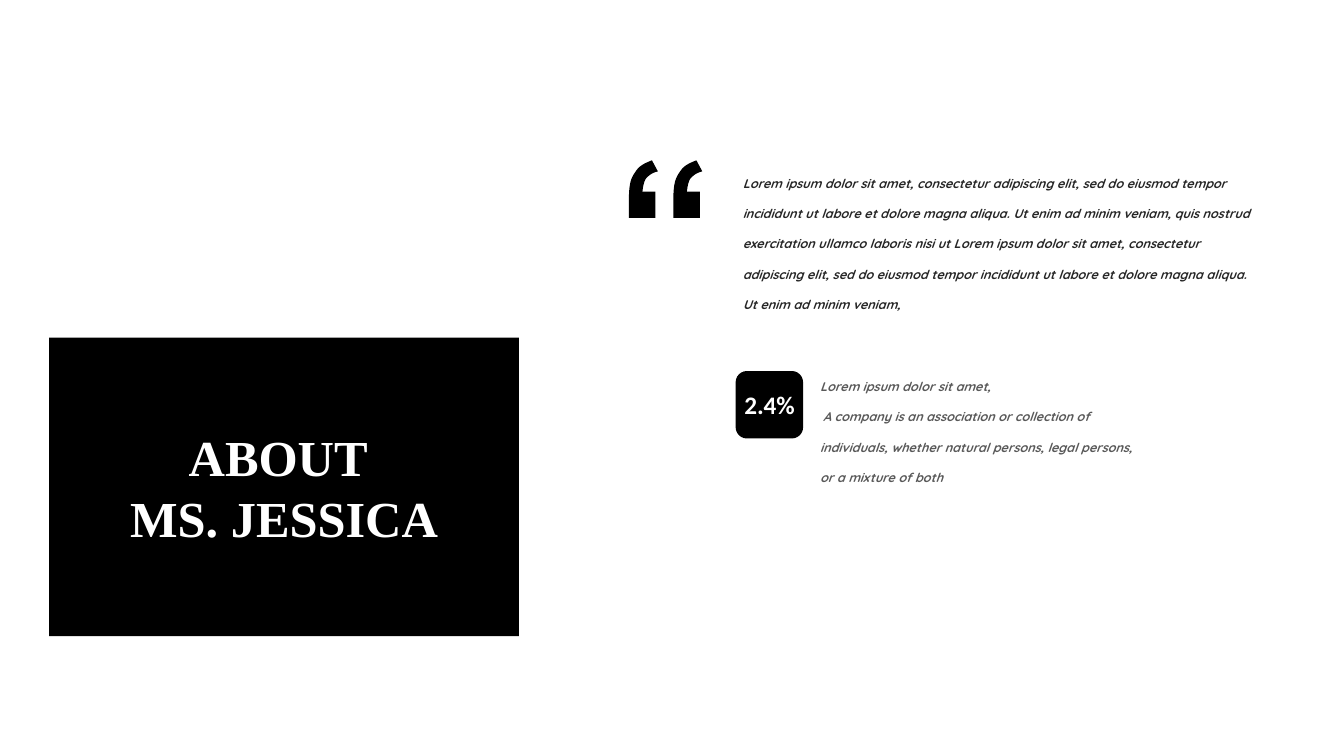
"""Build the profile slide with a title block, a quotation and a badge."""
from pptx import Presentation
from pptx.dml.color import RGBColor
from pptx.enum.shapes import MSO_SHAPE
from pptx.enum.text import MSO_ANCHOR, MSO_AUTO_SIZE, PP_ALIGN
from pptx.util import Cm, Pt

RECT, ROUND = MSO_SHAPE.RECTANGLE, MSO_SHAPE.ROUNDED_RECTANGLE
TOP, MIDDLE = MSO_ANCHOR.TOP, MSO_ANCHOR.MIDDLE
LEFT, CENTER = PP_ALIGN.LEFT, PP_ALIGN.CENTER
GROW = MSO_AUTO_SIZE.SHAPE_TO_FIT_TEXT
BLACK = RGBColor(0, 0, 0)
WHITE = RGBColor(255, 255, 255)
DARK = RGBColor(0x26, 0x26, 0x26)
GRAY = RGBColor(0x59, 0x59, 0x59)

TITLE = {"name": "Times New Roman", "size": Pt(36), "bold": True}
QUOTE = {"name": "Quicksand", "size": Pt(9), "bold": True, "italic": True}
PLAIN = {"name": "Calibri", "size": Pt(9)}
RATE = {"name": "Calibri", "size": Pt(18), "bold": True}

BLOCK = (1.24, 8.51, 11.84, 7.52)
BADGE = (18.54, 9.35, 1.7, 1.7)
TEXTS = [
    ((18.72, 4.04, 13.06, 3.84), 0, LEFT, 2, DARK, [[(
        "Lorem ipsum dolor sit amet, consectetur adipiscing elit, sed do "
        "eiusmod tempor incididunt ut labore et dolore magna aliqua. Ut enim "
        "ad minim veniam, quis nostrud exercitation ullamco laboris nisi ut "
        "Lorem ipsum dolor sit amet, consectetur adipiscing elit, sed do "
        "eiusmod tempor incididunt ut labore et dolore magna aliqua. Ut enim "
        "ad minim veniam, ", QUOTE)]]),
    ((18.24, 9.68, 2.31, 1.02), 1, CENTER, 1, WHITE, [[("2.4%", RATE)]]),
    ((20.42, 9.04, 8.51, 3.33), 1, LEFT, 2, GRAY, [
        [("Lorem ipsum dolor sit amet,", QUOTE)],
        [(" ", PLAIN), (
            "A company is an association or collection of individuals, "
            "whether natural persons, legal persons, or a mixture of both",
            QUOTE)]]),
]
HEAD = [[("ABOUT ", TITLE)], [("MS. JESSICA", TITLE)]]

MARK = [
    [(0.58, 0)],
    [(0.73, 0.28)],
    [(0.59, 0.31), (0.5, 0.38), (0.43, 0.46)],
    [(0.38, 0.53), (0.36, 0.64), (0.34, 0.79)],
    [(0.67, 0.79)],
    [(0.67, 1.45)],
    [(0, 1.45)],
    [(0, 0.97)],
    [(0, 0.76), (0.02, 0.61), (0.05, 0.51)],
    [(0.08, 0.41), (0.15, 0.3), (0.23, 0.2)],
    [(0.33, 0.1), (0.46, 0.05), (0.58, 0)],
]
MARK_X, MARK_Y, MARK_GAP = 15.85, 4.04, 1.12
UNITS, STEPS = 1000, 8


def paint(shape):
    shape.shadow.inherit = False
    shape.fill.solid()
    shape.fill.fore_color.rgb = BLACK
    shape.line.fill.background()


def write(frame, paras, align, space, color):
    frame.word_wrap = True
    for num, runs in enumerate(paras):
        para = frame.add_paragraph() if num else frame.paragraphs[0]
        para.alignment = align
        para.line_spacing = space
        for text, style in runs:
            run = para.add_run()
            run.text = text
            run.font.color.rgb = color
            for key, value in style.items():
                setattr(run.font, key, value)


def bend(start, one, two, end):
    for step in range(1, STEPS + 1):
        t = step / STEPS
        u = 1 - t
        yield tuple(u**3 * a + 3 * u * u * t * b + 3 * u * t * t * c + t**3 * d
                    for a, b, c, d in zip(start, one, two, end))


def outline(shift):
    points = []
    for part in MARK:
        points += part if len(part) == 1 else bend(points[-1], *part)
    return [((MARK_X + shift + x) * UNITS, (MARK_Y + y) * UNITS)
            for x, y in points]


def box(shapes, kind, place):
    shape = shapes.add_shape(kind, *map(Cm, place))
    paint(shape)
    return shape


deck = Presentation()
deck.slide_width, deck.slide_height = Cm(33.87), Cm(19.05)
shapes = deck.slides.add_slide(deck.slide_layouts[6]).shapes

block = box(shapes, RECT, BLOCK)
block.text_frame.vertical_anchor = MIDDLE
write(block.text_frame, HEAD, CENTER, 1, WHITE)

first, second = outline(0), outline(MARK_GAP)
pen = shapes.build_freeform(*first[0], scale=Cm(1) / UNITS)
pen.add_line_segments(first[1:])
pen.move_to(*second[0])
pen.add_line_segments(second[1:])
paint(pen.convert_to_shape())

box(shapes, ROUND, BADGE)
for place, inset, align, space, color, paras in TEXTS:
    frame = shapes.add_textbox(*map(Cm, place)).text_frame
    frame.auto_size = GROW
    frame.vertical_anchor = TOP
    frame.margin_left = frame.margin_right = Cm(0.25 * inset)
    frame.margin_top = frame.margin_bottom = Cm(0.13 * inset)
    write(frame, paras, align, space, color)

deck.save("out.pptx")
